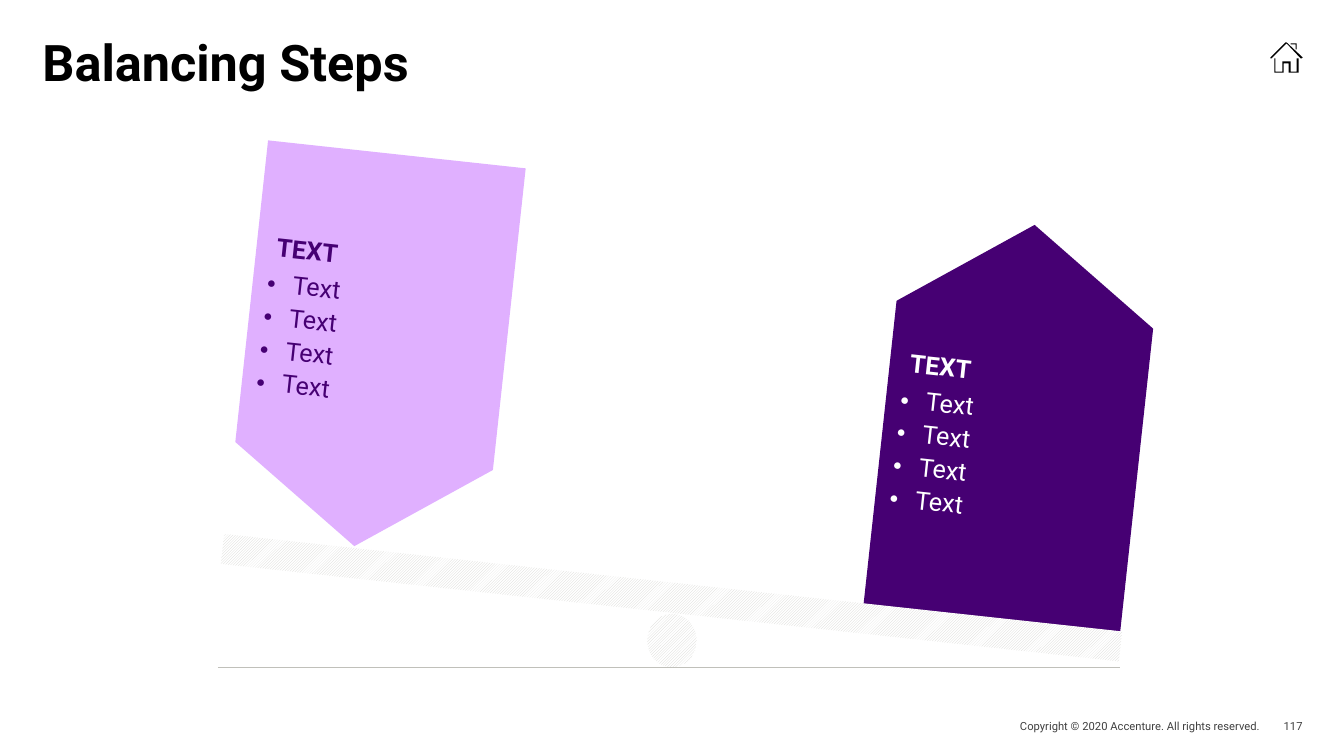
import pptx
import pptx.util
import pptx.dml.color
import pptx.enum.dml
import pptx.enum.shapes
import pptx.enum.text
import pptx.oxml
import pptx.oxml.ns
from pptx.util import Inches

RGBColor = pptx.dml.color.RGBColor
SHAPE = pptx.enum.shapes.MSO_SHAPE
ALIGN = pptx.enum.text.PP_ALIGN
ANCHOR = pptx.enum.text.MSO_ANCHOR

BLACK = RGBColor(0x00, 0x00, 0x00)
WHITE = RGBColor(0xFF, 0xFF, 0xFF)
FOOTER_GREY = RGBColor(0x40, 0x40, 0x40)
GROUND_GREY = RGBColor(0xC0, 0xC0, 0xBA)
HATCH_GREY = RGBColor(0xD5, 0xD5, 0xD1)
DARK_PURPLE = RGBColor(0x46, 0x00, 0x73)
LIGHT_PURPLE = RGBColor(0xE0, 0xB0, 0xFF)

TILT = 6.2  # slope of the seesaw in degrees

HOME_ICON = [
    # Walls and door
    [(12.64, 0.58), (12.65, 0.58), (12.65, 0.71), (12.72, 0.71), (12.72, 0.61), (12.8, 0.61),
     (12.8, 0.71), (12.86, 0.71), (12.86, 0.58), (12.88, 0.58), (12.88, 0.72), (12.78, 0.72),
     (12.78, 0.63), (12.73, 0.63), (12.73, 0.72), (12.64, 0.72)],
    # Chimney
    [(12.8, 0.43), (12.86, 0.43), (12.86, 0.49), (12.85, 0.49), (12.85, 0.44), (12.8, 0.44)],
    # Roof
    [(12.6, 0.57), (12.75, 0.42), (12.76, 0.42), (12.92, 0.57), (12.91, 0.58), (12.9, 0.58),
     (12.76, 0.43), (12.61, 0.58), (12.6, 0.58)],
]


class SlideBuilder:
    """Holds the font and the current slide."""

    def __init__(self, slide, font_name):
        self.slide = slide
        self.font_name = font_name

    def run(self, paragraph, text, size, color, bold=False):
        run = paragraph.add_run()
        run.text = text
        run.font.name = self.font_name
        run.font.size = pptx.util.Pt(size)
        run.font.bold = bold
        run.font.color.rgb = color

    def frame(self, shape, insets=(0, 0, 0, 0), anchor=ANCHOR.MIDDLE):
        frame = shape.text_frame
        frame.word_wrap = True
        frame.auto_size = pptx.enum.text.MSO_AUTO_SIZE.NONE
        frame.vertical_anchor = anchor
        (frame.margin_left, frame.margin_top,
         frame.margin_right, frame.margin_bottom) = map(Inches, insets)
        return frame

    def title(self, text, box):
        shape = self.slide.shapes.title
        shape.left, shape.top, shape.width, shape.height = map(Inches, box)
        paragraph = self.frame(shape, anchor=ANCHOR.TOP).paragraphs[0]
        paragraph.alignment = ALIGN.LEFT
        paragraph.line_spacing = 0.8
        self.run(paragraph, text, 36, BLACK, bold=True)

    def footer(self, text, box):
        shape = self.slide.shapes.add_textbox(*map(Inches, box))
        paragraph = self.frame(shape).paragraphs[0]
        paragraph.alignment = ALIGN.RIGHT
        self.run(paragraph, text, 8, FOOTER_GREY)

    def outline(self, contours, color):
        builder = None
        for contour in contours:
            first, *others = [(Inches(x), Inches(y)) for x, y in contour]
            if builder is None:
                builder = self.slide.shapes.build_freeform(*first)
            else:
                builder.move_to(*first)
            builder.add_line_segments(others, close=True)
        shape = builder.convert_to_shape()
        shape.shadow.inherit = False
        shape.fill.solid()
        shape.fill.fore_color.rgb = color
        shape.line.fill.background()

    def line(self, start, end, color, width):
        connector = self.slide.shapes.add_connector(
            pptx.enum.shapes.MSO_CONNECTOR.STRAIGHT, *map(Inches, start + end))
        connector.line.color.rgb = color
        connector.line.width = pptx.util.Pt(width)
        properties = connector._element.spPr
        properties.append(pptx.oxml.parse_xml(
            "<a:effectLst %s/>" % pptx.oxml.ns.nsdecls("a")))

    def shape(self, kind, box, rotation=0):
        shape = self.slide.shapes.add_shape(kind, *map(Inches, box))
        shape.rotation = rotation
        shape.shadow.inherit = False
        shape.line.fill.background()
        return shape

    def hatched(self, kind, box, rotation=0):
        fill = self.shape(kind, box, rotation).fill
        fill.patterned()
        fill.pattern = pptx.enum.dml.MSO_PATTERN.DARK_UPWARD_DIAGONAL
        fill.fore_color.rgb = HATCH_GREY
        fill.back_color.rgb = WHITE

    def weight(self, box, rotation, color, text_color, heading, items, flipped=False):
        shape = self.shape(SHAPE.PENTAGON, box, rotation)
        shape.adjustments[0] = 0.35
        shape.fill.solid()
        shape.fill.fore_color.rgb = color
        frame = self.frame(shape, (0.08, 0.2, 0.08, 0.08))
        # Vertical text brings the words back in line with the plank
        body = frame._txBody.bodyPr
        body.set("vert", "eaVert")
        if flipped:
            body.set("rot", "10800000")
            frame.word_wrap = False
        paragraph = frame.paragraphs[0]
        paragraph.alignment = ALIGN.LEFT
        paragraph.line_spacing = 0.85
        paragraph.space_after = pptx.util.Pt(3)
        self.run(paragraph, heading, 18, text_color, bold=True)
        for item in items:
            self.bullet(frame.add_paragraph(), item, text_color)

    def bullet(self, paragraph, text, color):
        paragraph.alignment = ALIGN.LEFT
        paragraph.space_before = paragraph.space_after = pptx.util.Pt(1)
        properties = paragraph._p.get_or_add_pPr()
        properties.set("marL", str(Inches(0.2)))
        properties.set("indent", str(-Inches(0.2)))
        properties.append(pptx.oxml.parse_xml(
            '<a:buChar %s char="•"/>' % pptx.oxml.ns.nsdecls("a")))
        self.run(paragraph, text, 18, color)


def main():
    presentation = pptx.Presentation()
    presentation.slide_width = Inches(13.33)
    presentation.slide_height = Inches(7.5)
    slide = presentation.slides.add_slide(presentation.slide_layouts[5])
    builder = SlideBuilder(slide, "Roboto")

    # Title, footer and home icon
    builder.title("Balancing Steps", (0.42, 0.42, 12.5, 1.08))
    builder.footer("Copyright © 2020 Accenture. All rights reserved.", (9.1, 7.09, 3.4, 0.22))
    builder.footer("117", (12.5, 7.09, 0.42, 0.23))
    builder.outline(HOME_ICON, BLACK)

    # Ground
    builder.line((2.16, 6.62), (11.11, 6.62), GROUND_GREY, 0.5)

    # Weights
    items = ["Text"] * 4
    builder.weight((8.09, 2.9, 3.92, 2.56), TILT + 270, DARK_PURPLE, WHITE, "TEXT", items)
    builder.weight((1.77, 2.19, 3.91, 2.57), TILT + 90, LIGHT_PURPLE, DARK_PURPLE, "TEXT", items,
                   flipped=True)

    # Plank and pivot
    builder.hatched(SHAPE.RECTANGLE, (2.18, 5.78, 8.96, 0.3), TILT)
    builder.hatched(SHAPE.OVAL, (6.42, 6.09, 0.49, 0.53))

    presentation.save("out.pptx")


if __name__ == "__main__":
    main()
